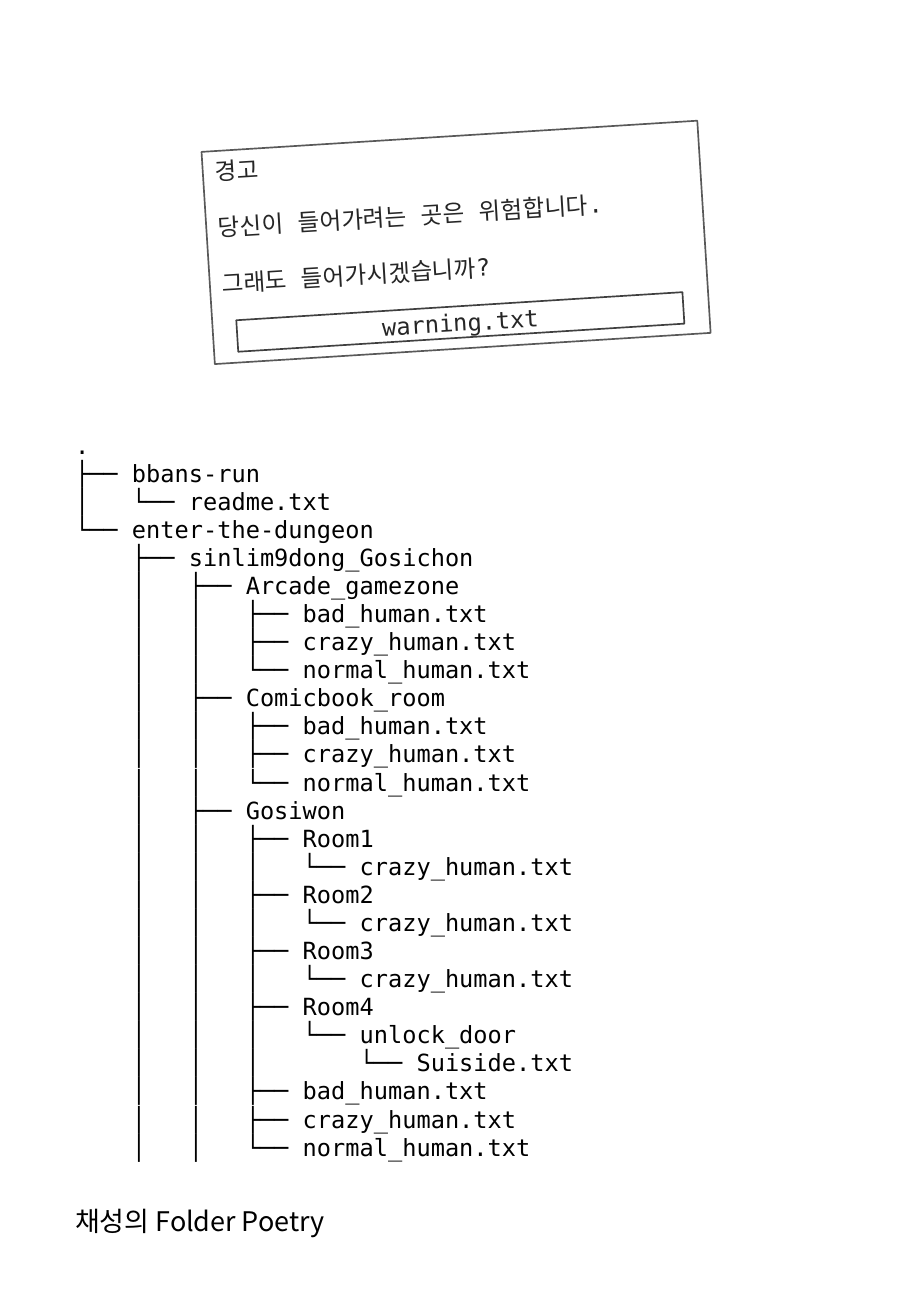
from dataclasses import dataclass

from lxml import etree
from pptx import Presentation
from pptx import util as u
from pptx.dml.color import RGBColor
from pptx.enum import shapes, text
from pptx.oxml import ns


@dataclass(frozen=True)
class Theme:
    mono: str = "DejaVu Sans Mono"
    sans: str = "Noto Sans CJK KR"
    black: str = "000000"
    ink: str = "262626"
    frame: str = "595959"
    button: str = "404040"
    title_size: float = 16
    text_size: float = 14
    line_width: float = 1


THEME = Theme()
WIDTH, HEIGHT = u.Inches(7.5), u.Inches(10.83)
TILT = -3.6

TITLE = "채성의 Folder Poetry"
WARNING = ["경고", "당신이 들어가려는 곳은 위험합니다.", "그래도 들어가시겠습니까?"]
BUTTON = "warning.txt"

MORE = ("", ())
HUMANS = [("bad_human.txt", ()), ("crazy_human.txt", ()), ("normal_human.txt", ())]
TENANT = [("crazy_human.txt", ())]
LOCKED = [("unlock_door", [("Suiside.txt", ())])]
ROOMS = [("Room1", TENANT), ("Room2", TENANT), ("Room3", TENANT), ("Room4", LOCKED)]
GOSICHON = [
    ("Arcade_gamezone", HUMANS),
    ("Comicbook_room", HUMANS),
    ("Gosiwon", ROOMS + HUMANS),
    MORE,
]
FOLDERS = [
    ("bbans-run", [("readme.txt", ())]),
    ("enter-the-dungeon", [("sinlim9dong_Gosichon", GOSICHON), MORE]),
]

PERCENT = {
    "title": (6.93, 90.12, 86.27, 5.54),
    "tree": (6.93, 32.5, 86.27, 57.62),
    "warning": (22.8, 10.34, 54.53, 16.16),
    "button": (26, 23.27, 49.07, 2.4),
}


def box(name):
    sides = (WIDTH, HEIGHT, WIDTH, HEIGHT)
    return [round(side * share / 100) for side, share in zip(sides, PERCENT[name])]


def tree_lines(items, prefix=""):
    for i, (name, children) in enumerate(items):
        if not name:
            continue
        last = i == len(items) - 1
        yield prefix + ("└── " if last else "├── ") + name
        yield from tree_lines(children, prefix + ("    " if last else "│   "))


def write(sp, lines, font=THEME.mono, size=THEME.text_size, color=THEME.black,
          align=text.PP_ALIGN.LEFT, anchor=text.MSO_ANCHOR.TOP,
          spacing=1.0, before=0, gap=0):
    tf = sp.text_frame
    tf.word_wrap = True
    tf.auto_size = text.MSO_AUTO_SIZE.NONE
    tf.vertical_anchor = anchor
    for i, line in enumerate(lines):
        p = tf.add_paragraph() if i else tf.paragraphs[0]
        p.alignment = align
        p.line_spacing = spacing
        p.space_before = u.Pt(before + (gap if i else 0))
        r = p.add_run()
        r.text = line
        r.font.name = font
        r.font.size = u.Pt(size)
        r.font.color.rgb = RGBColor.from_string(color)
        east_asian = etree.SubElement(r.font._element, ns.qn("a:ea"))
        east_asian.set("typeface", font)


def add_frame(group, name, color):
    sp = group.shapes.add_shape(shapes.MSO_SHAPE.RECTANGLE, *box(name))
    sp.rotation = TILT
    sp.shadow.inherit = False
    sp.fill.background()
    sp.line.color.rgb = RGBColor.from_string(color)
    sp.line.width = u.Pt(THEME.line_width)
    return sp


def main():
    prs = Presentation()
    prs.slide_width, prs.slide_height = WIDTH, HEIGHT
    s = prs.slides.add_slide(prs.slide_layouts[5])

    title = s.shapes.title
    title.left, title.top, title.width, title.height = box("title")
    write(title, [TITLE], font=THEME.sans, size=THEME.title_size,
          anchor=text.MSO_ANCHOR.MIDDLE, spacing=0.9)

    tree = s.shapes.add_textbox(*box("tree"))
    write(tree, [".", *tree_lines(FOLDERS)], spacing=0.9, before=1.5)

    dialog = s.shapes.add_group_shape()
    write(add_frame(dialog, "warning", THEME.frame), WARNING,
          color=THEME.ink, gap=16.3)
    write(add_frame(dialog, "button", THEME.button), [BUTTON], color=THEME.ink,
          align=text.PP_ALIGN.CENTER, anchor=text.MSO_ANCHOR.MIDDLE)

    prs.save("out.pptx")


if __name__ == "__main__":
    main()
